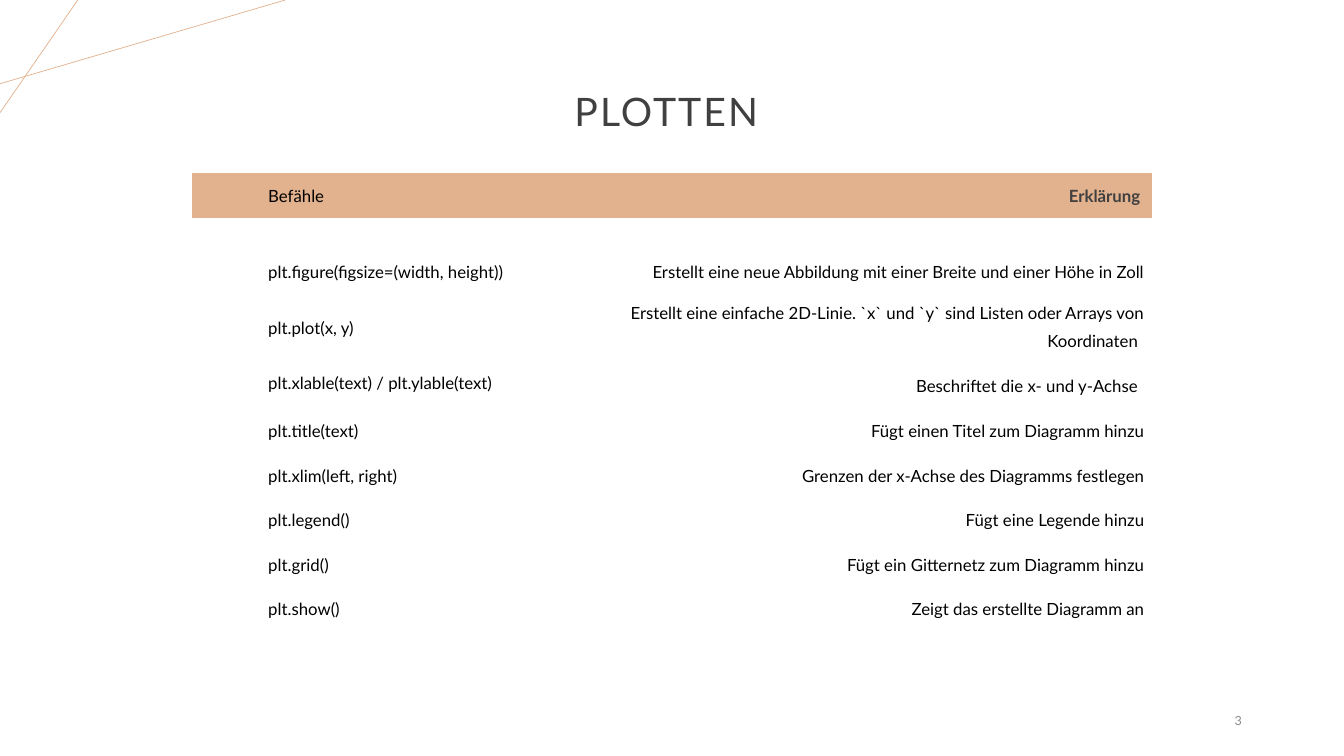
"""Build the slide that lists the plotting commands and explains each one."""
from dataclasses import dataclass

from lxml import etree
from pptx import Presentation
from pptx.dml.color import RGBColor
from pptx.enum.shapes import MSO_CONNECTOR
from pptx.enum.text import MSO_ANCHOR, PP_ALIGN
from pptx.oxml.ns import qn
from pptx.util import Cm, Pt

STRAIGHT = MSO_CONNECTOR.STRAIGHT
MIDDLE = MSO_ANCHOR.MIDDLE
LEFT, CENTER, RIGHT = PP_ALIGN.LEFT, PP_ALIGN.CENTER, PP_ALIGN.RIGHT
PLAIN_TABLE_STYLE = "{2D5ABB26-0587-4C30-8999-92F81FD0307C}"

TITLE = "PLOTTEN "
PAGE_NUMBER = "3"
HEADER = ("Befähle", "Erklärung ")
COMMANDS = [
    ("plt.figure(figsize=(width, height))",
     "Erstellt eine neue Abbildung mit einer Breite und einer Höhe in Zoll"),
    ("plt.plot(x, y)",
     "Erstellt eine einfache 2D-Linie. `x` und `y` sind Listen oder Arrays von Koordinaten "),
    ("plt.xlable(text) / plt.ylable(text)", "Beschriftet die x- und y-Achse "),
    ("plt.title(text)", "Fügt einen Titel zum Diagramm hinzu"),
    ("plt.xlim(left, right)", "Grenzen der x-Achse des Diagramms festlegen"),
    ("plt.legend()", "Fügt eine Legende hinzu"),
    ("plt.grid()", "Fügt ein Gitternetz zum Diagramm hinzu"),
    ("plt.show()", "Zeigt das erstellte Diagramm an"),
]
ROWS = [HEADER, ("", "")] + COMMANDS

SLIDE_SIZE = (33.87, 19.05)
CORNER_LINES = [(0, 2.11, 7.19, 0), (1.96, 0, 0, 2.84)]
TITLE_BOX = (2.34, 1.02, 29.21, 3.68)
NUMBER_BOX = (23.93, 17.65, 7.62, 1.02)
TABLE_CORNER = (4.83, 4.37)
COLUMN_WIDTHS = (8.59, 15.62)
ROW_HEIGHTS = [1.12, 0.71, 1.32, 1.47, 1.32] + [1.12] * 5
CELL_INSETS = [(0.66, 0.1, 0.2, 0.1), (0.2, 0.1, 0.2, 0.1)]
COMMAND_INDENT = 1.27


@dataclass(frozen=True)
class Theme:
    """Colours, font and type sizes of the slide."""
    font: str = "Lato"
    accent: RGBColor = RGBColor(0xE2, 0xB1, 0x8D)
    dark: RGBColor = RGBColor(0x40, 0x40, 0x40)
    black: RGBColor = RGBColor(0, 0, 0)
    grey: RGBColor = RGBColor(0x8C, 0x8C, 0x8C)
    title: Pt = Pt(28)
    body: Pt = Pt(12)
    wide_space: Pt = Pt(18)
    number: Pt = Pt(9)
    line: Pt = Pt(0.5)


THEME = Theme()


def apply(target, values):
    """Set each named attribute of the target."""
    for name, value in values.items():
        setattr(target, name, value)


def add_span(para, text, size, color, bold=False):
    """Add a formatted span to a paragraph."""
    span = para.add_run()
    span.text = text
    apply(span.font, {"name": THEME.font, "size": size, "bold": bold})
    span.font.color.rgb = color
    return span


def place(shape, box):
    """Move and size a shape to a box in centimetres."""
    apply(shape, dict(zip(("left", "top", "width", "height"), map(Cm, box))))


def add_corner_line(page, ends):
    """Draw one thin line across the top left corner."""
    line = page.shapes.add_connector(STRAIGHT, *map(Cm, ends))
    line.line.color.rgb = THEME.accent
    line.line.width = THEME.line
    etree.SubElement(line._element.spPr, qn("a:effectLst"))


def fill_title(page):
    """Place and format the title placeholder."""
    title = page.shapes.title
    place(title, TITLE_BOX)
    apply(title.text_frame, {"vertical_anchor": MIDDLE, "word_wrap": True})
    para = title.text_frame.paragraphs[0]
    apply(para, {"alignment": CENTER, "line_spacing": 0.9})
    span = add_span(para, TITLE, THEME.title, THEME.dark)
    span.font._element.set("spc", "150")


def add_page_number(page):
    """Add the page number at the lower right."""
    box = page.shapes.add_textbox(*map(Cm, NUMBER_BOX))
    apply(box.text_frame, {"vertical_anchor": MIDDLE, "word_wrap": True})
    para = box.text_frame.paragraphs[0]
    para.alignment = RIGHT
    add_span(para, PAGE_NUMBER, THEME.number, THEME.grey)


def fill_cell(cell, text, row, column):
    """Format one table cell and write its text."""
    is_header, is_command = row == 0, column == 0
    margins = ("margin_left", "margin_top", "margin_right", "margin_bottom")
    apply(cell, dict(zip(margins, map(Cm, CELL_INSETS[column]))))
    cell.vertical_anchor = MIDDLE
    if is_header:
        cell.fill.solid()
        cell.fill.fore_color.rgb = THEME.accent
    else:
        cell.fill.background()
    para = cell.text_frame.paragraphs[0]
    para.alignment = LEFT if is_command else RIGHT
    if not text:
        end = etree.SubElement(para._p, qn("a:endParaRPr"))
        end.set("sz", str(int(THEME.body.pt * 100)))
        return
    if is_command:
        apply_indent = para._p.get_or_add_pPr()
        apply_indent.set("marL", str(Cm(COMMAND_INDENT)))
        apply_indent.set("indent", "0")
    bold = is_header and not is_command
    color = THEME.dark if bold else THEME.black
    if text.endswith(" ") and not is_header:
        add_span(para, text[:-1], THEME.body, color)
        add_span(para, " ", THEME.wide_space, color)
    else:
        add_span(para, text, THEME.body, color, bold)


def add_command_table(page):
    """Add the table of commands and explanations."""
    size = (sum(COLUMN_WIDTHS), sum(ROW_HEIGHTS))
    frame = page.shapes.add_table(len(ROWS), len(HEADER), *map(Cm, TABLE_CORNER + size))
    table = frame.table
    apply(table, {"first_row": False, "horz_banding": False})
    for style in frame._element.iter(qn("a:tableStyleId")):
        style.text = PLAIN_TABLE_STYLE
    for column, width in zip(table.columns, COLUMN_WIDTHS):
        column.width = Cm(width)
    for row, height in zip(table.rows, ROW_HEIGHTS):
        row.height = Cm(height)
    for row, texts in enumerate(ROWS):
        for column, text in enumerate(texts):
            fill_cell(table.cell(row, column), text, row, column)


def main():
    """Build and save the deck."""
    deck = Presentation()
    deck.slide_width, deck.slide_height = map(Cm, SLIDE_SIZE)
    page = deck.slides.add_slide(deck.slide_layouts[5])
    for ends in CORNER_LINES:
        add_corner_line(page, ends)
    fill_title(page)
    add_page_number(page)
    add_command_table(page)
    deck.save("out.pptx")


if __name__ == "__main__":
    main()
